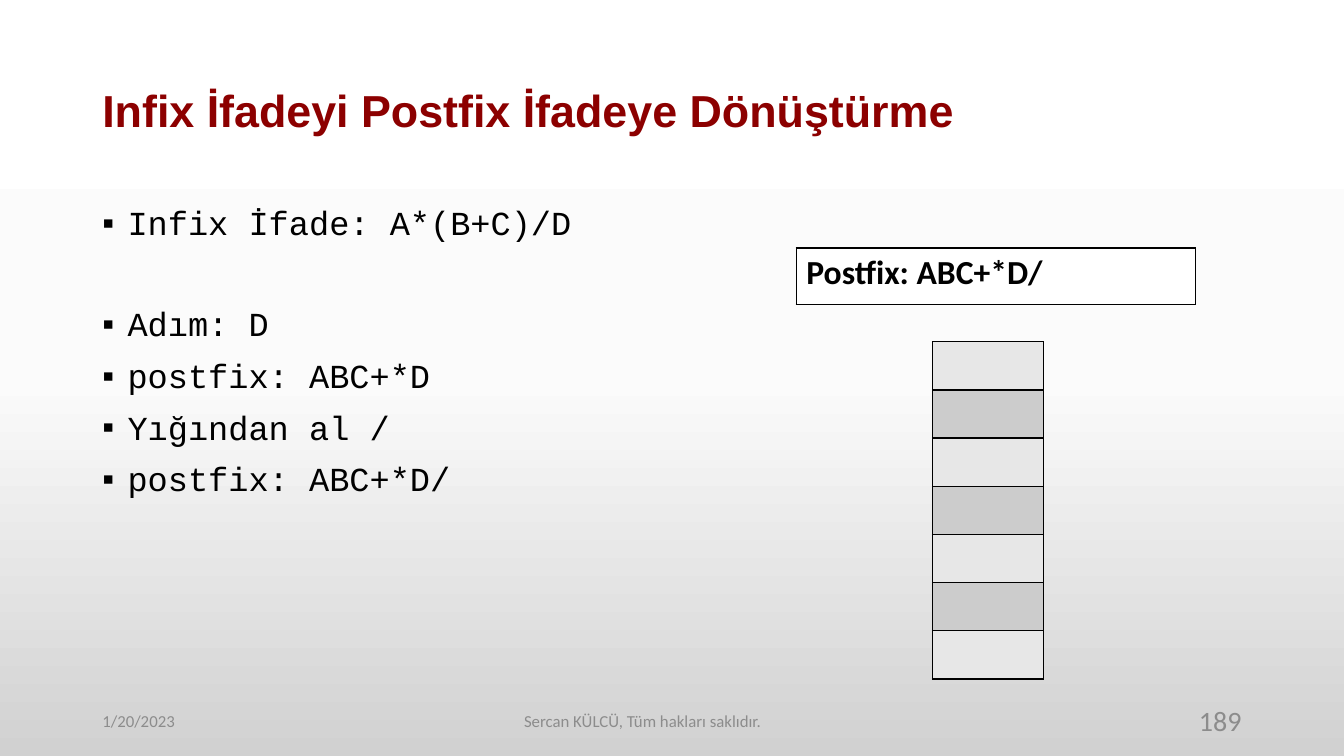
import copy
from pptx import Presentation
from pptx import util as u
from pptx.dml.color import RGBColor
from pptx.enum import text
from pptx.oxml import parse_xml
from pptx.oxml.ns import nsdecls

presentation = Presentation()
presentation.slide_width = u.Inches(13.33)
presentation.slide_height = u.Inches(7.5)
slide = presentation.slides.add_slide(presentation.slide_layouts[6])
column = presentation.slide_width / 160
row = presentation.slide_height / 150


def color(value):
    return RGBColor.from_string(value)


def write(frame, lines, font="Calibri", size=12, ink="8C8C8C", bold=False,
          align=text.PP_ALIGN.LEFT, anchor=text.MSO_ANCHOR.MIDDLE,
          spacing=1.0, bullet=None):
    frame.word_wrap = True
    frame.vertical_anchor = anchor
    for index, (line, before) in enumerate(lines):
        paragraph = frame.add_paragraph() if index else frame.paragraphs[0]
        paragraph.alignment = align
        paragraph.line_spacing = spacing
        paragraph.space_before = u.Pt(before)
        if bullet:
            properties = paragraph._p.get_or_add_pPr()
            properties.set("marL", str(u.Inches(0.25)))
            properties.set("indent", str(-u.Inches(0.25)))
            properties.append(parse_xml(f'<a:buFont {nsdecls("a")} typeface="Arial"/>'))
            properties.append(parse_xml(f'<a:buChar {nsdecls("a")} char="{bullet}"/>'))
        run = paragraph.add_run()
        run.text = line
        run.font.name = font
        run.font.size = u.Pt(size)
        run.font.bold = bold
        run.font.color.rgb = color(ink)


background = slide.background.fill
background.gradient()
background.gradient_angle = 270
stop_list = slide.element.xpath(".//a:gsLst")[0]
stop_list.insert(1, copy.deepcopy(stop_list[0]))
for stop, position, shade in zip(background.gradient_stops, (0, 0.5, 1),
                                 ("FFFFFF", "FBFBFB", "D1D1D1")):
    stop.position = position
    stop.color.rgb = color(shade)

steps = [("Infix İfade: A*(B+C)/D", 0), ("Adım: D", 46.5),
         ("postfix: ABC+*D", 11), ("Yığından al /", 11),
         ("postfix: ABC+*D/", 11)]
boxes = [
    ((11, 8, 138, 29), [("Infix İfadeyi Postfix İfadeye Dönüştürme", 0)],
     dict(font="Arial", size=32, ink="8C0000", bold=True, spacing=0.9)),
    ((11, 40, 138, 102.4), steps,
     dict(font="Courier New", size=24, ink="000000", spacing=0.9,
          anchor=text.MSO_ANCHOR.TOP, bullet="▪")),
    ((11, 139, 36, 8), [("1/20/2023", 0)], {}),
    ((31, 139, 91, 8), [("Sercan KÜLCÜ, Tüm hakları saklıdır.", 0)],
     dict(align=text.PP_ALIGN.CENTER)),
    ((113, 139, 36, 8), [("189", 0)],
     dict(size=20, align=text.PP_ALIGN.RIGHT)),
]
for (left, top, width, height), lines, style in boxes:
    box = slide.shapes.add_textbox(int(left * column), int(top * row),
                                   int(width * column), int(height * row))
    write(box.text_frame, lines, **style)

stack_fills = ["E7E7E7" if level % 2 == 0 else "CCCCCC" for level in range(7)]
tables = [((111, 67.8, 13.2, 9.56), stack_fills, None),
          ((94.8, 49.2, 47.5, 11.2), ["FFFFFF"], "Postfix: ABC+*D/")]
for (left, top, width, height), fills, label in tables:
    table = slide.shapes.add_table(len(fills), 1, int(left * column), int(top * row),
                                   int(width * column),
                                   int(height * row) * len(fills)).table
    for cell, shade in zip(table.iter_cells(), fills):
        properties = cell._tc.get_or_add_tcPr()
        for side in ("lnL", "lnR", "lnT", "lnB"):
            properties.append(parse_xml(
                f'<a:{side} {nsdecls("a")} w="{u.Pt(1)}"><a:solidFill>'
                f'<a:srgbClr val="000000"/></a:solidFill></a:{side}>'))
        cell.fill.solid()
        cell.fill.fore_color.rgb = color(shade)
        if label:
            write(cell.text_frame, [(label, 0)], size=24, ink="000000", bold=True,
                  anchor=text.MSO_ANCHOR.TOP)

presentation.save("out.pptx")
